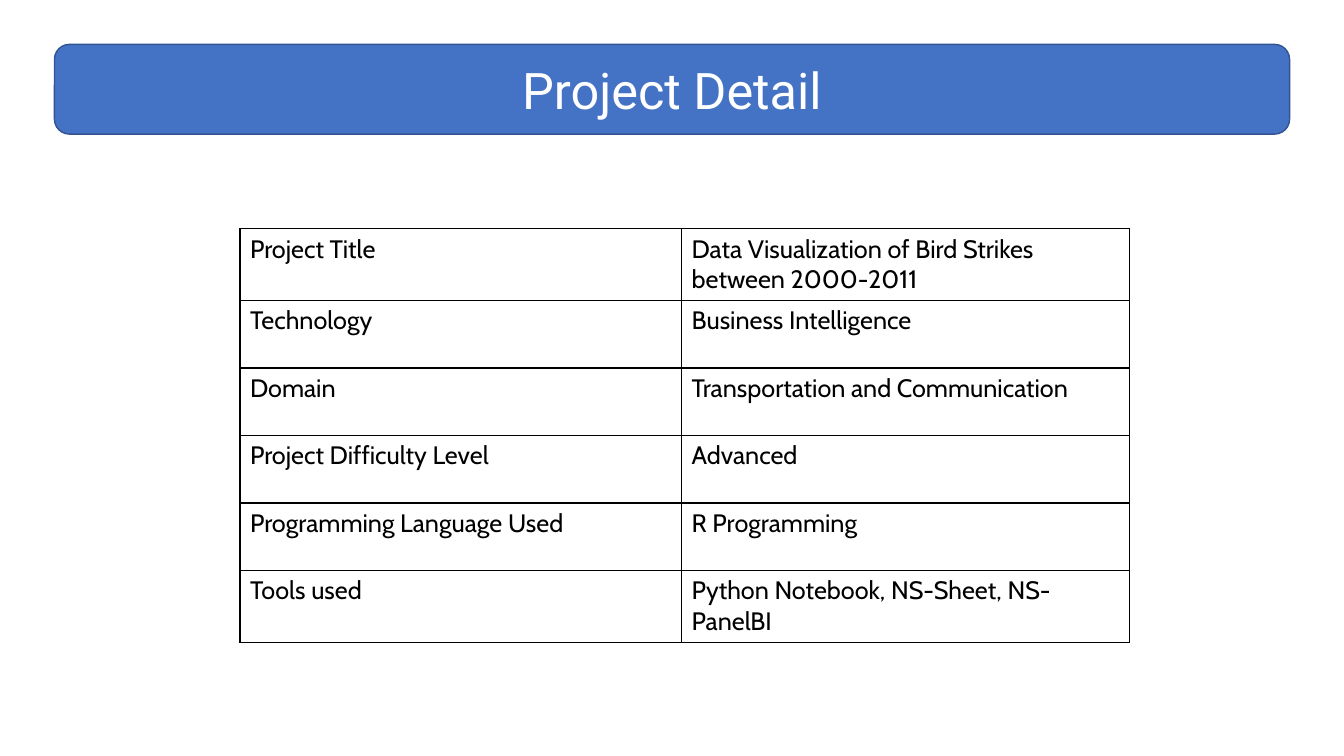
from lxml import etree
from pptx import Presentation
from pptx.dml.color import RGBColor
from pptx.enum.shapes import MSO_SHAPE as SHAPE
from pptx.enum.text import MSO_ANCHOR as ANCHOR, PP_ALIGN as ALIGN
from pptx.oxml.ns import qn
from pptx.util import Inches, Pt

COLORS = {"banner": "4472C4", "banner_line": "325491",
          "title": "FFFFFF", "text": "000000", "border": "000000"}

DETAILS = [
    ("Project Title", "Data Visualization of Bird Strikes between 2000-2011"),
    ("Technology", "Business Intelligence"),
    ("Domain", "Transportation and Communication"),
    ("Project Difficulty Level", "Advanced"),
    ("Programming Language Used", "R Programming"),
    ("Tools used", "Python Notebook, NS-Sheet, NS-PanelBI"),
]


def rgb(name):
    return RGBColor.from_string(COLORS[name])


def add_run(p, text, font, size, color):
    r = p.add_run()
    r.text = text
    r.font.name = font
    r.font.size = Pt(size)
    r.font.color.rgb = rgb(color)


def add_borders(cell):
    tcPr = cell._tc.get_or_add_tcPr()
    for side in ("a:lnL", "a:lnR", "a:lnT", "a:lnB"):
        ln = etree.SubElement(tcPr, qn(side), w=str(Pt(1)))
        fill = etree.SubElement(ln, qn("a:solidFill"))
        etree.SubElement(fill, qn("a:srgbClr"), val=COLORS["border"])


def add_banner(s, text, x, y, w, h):
    sp = s.shapes.add_shape(SHAPE.ROUNDED_RECTANGLE,
                            Inches(x), Inches(y), Inches(w), Inches(h))
    sp.shadow.inherit = False
    sp.fill.solid()
    sp.fill.fore_color.rgb = rgb("banner")
    sp.line.color.rgb = rgb("banner_line")
    sp.line.width = Pt(1)
    tf = sp.text_frame
    tf.word_wrap = True
    tf.vertical_anchor = ANCHOR.MIDDLE
    p = tf.paragraphs[0]
    p.alignment = ALIGN.CENTER
    add_run(p, text, "Roboto", 36, "title")


def add_details(s, rows, x, y, col_widths, first_height, row_height):
    heights = [first_height] + [row_height] * (len(rows) - 1)
    frame = s.shapes.add_table(len(rows), len(col_widths), Inches(x), Inches(y),
                               Inches(sum(col_widths)), Inches(sum(heights)))
    table = frame.table
    table.first_row = table.horz_banding = False
    for col, width in zip(table.columns, col_widths):
        col.width = Inches(width)
    for row, height, texts in zip(table.rows, heights, rows):
        row.height = Inches(height)
        for cell, text in zip(row.cells, texts):
            add_borders(cell)
            cell.fill.background()
            add_run(cell.text_frame.paragraphs[0], text, "Cabin", 18, "text")


def main():
    prs = Presentation()
    prs.slide_width, prs.slide_height = Inches(13.33), Inches(7.5)
    s = prs.slides.add_slide(prs.slide_layouts[6])

    # Title banner
    add_banner(s, "Project Detail", 0.54, 0.44, 12.25, 0.89)

    # Project facts
    add_details(s, DETAILS, 2.38, 2.27, (4.38, 4.44), 0.48, 0.67)

    prs.save("out.pptx")


if __name__ == "__main__":
    main()
